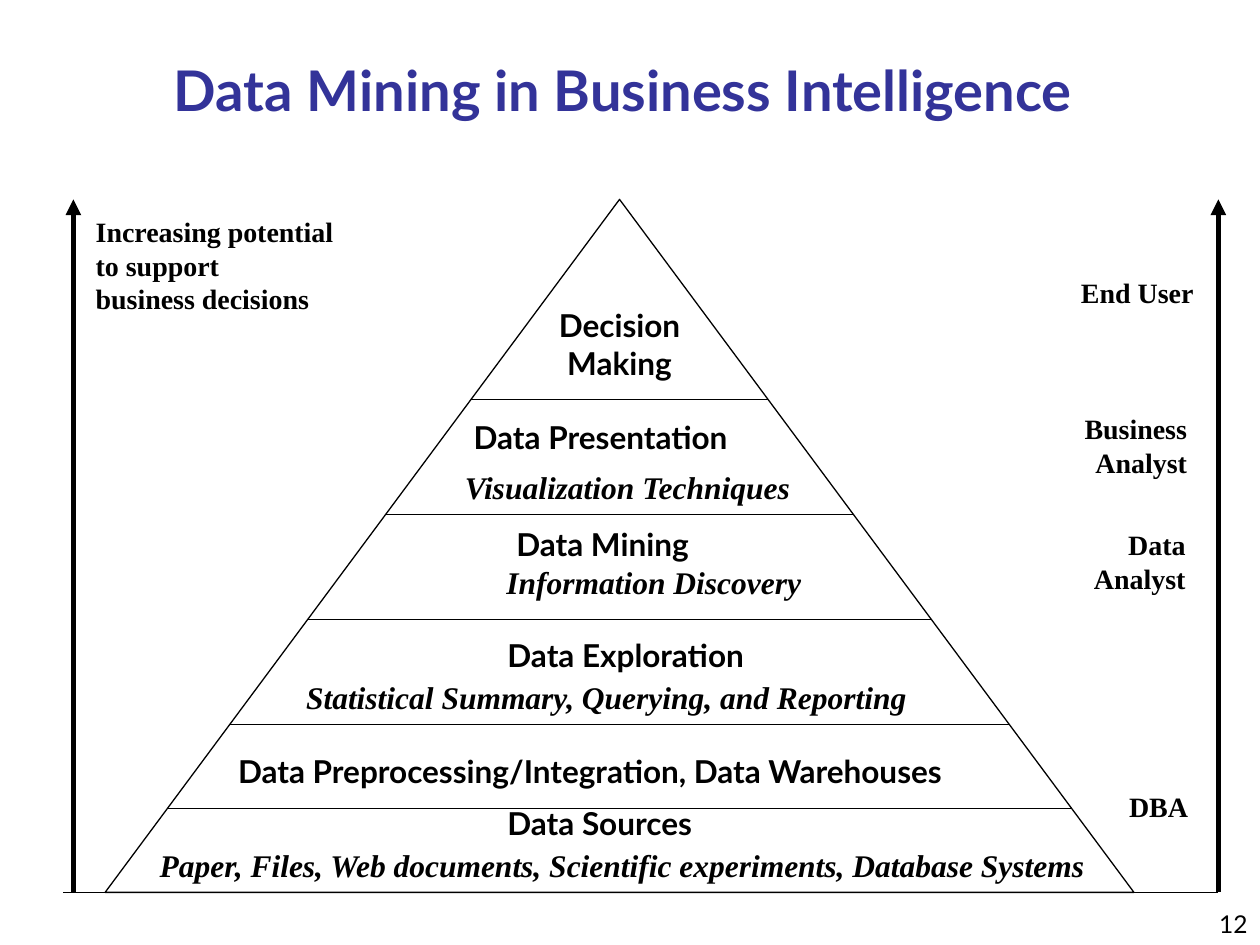
from dataclasses import dataclass

from lxml.etree import SubElement
from pptx import Presentation
from pptx.dml.color import RGBColor
from pptx.enum.shapes import MSO_CONNECTOR, MSO_SHAPE
from pptx.enum.text import MSO_ANCHOR, MSO_AUTO_SIZE, PP_ALIGN
from pptx.oxml.ns import qn
from pptx.util import Cm, Pt


@dataclass(frozen=True)
class Theme:
    ink: RGBColor = RGBColor(0x00, 0x00, 0x00)
    heading: RGBColor = RGBColor(0x33, 0x33, 0x99)
    sans: str = "Lato"
    serif: str = "Times New Roman"
    title_size: int = 32
    level_size: int = 18
    role_size: int = 16
    number_size: int = 14
    thin: float = 0.75
    thick: float = 3


THEME = Theme()

TITLE = ("Data Mining in Business Intelligence", (0.5, 1.06, 24.13, 1.48))
PAGE_NUMBER = ("12", (20.12, 17.78, 5.28, 1.27))
POTENTIAL = ("Increasing potential\nto support\nbusiness decisions", (1.68, 4.2, 5.31, 2.29))
ROLES = [
    ("End User", (21.54, 5.44, 2.77, 0.93)),
    ("Business\nAnalyst", (21.54, 8.18, 2.64, 1.62)),
    ("Data\nAnalyst", (21.79, 10.51, 2.36, 1.62)),
    ("DBA", (22.5, 15.8, 1.7, 0.93)),
]
CENTRED_LEVELS = [
    ("Decision Making", (10.8, 6.05, 3.38, 1.78)),
    ("Data Exploration", (9.35, 12.7, 6.53, 1.02)),
]
LEVELS = [
    ("Data Presentation", (9.3, 8.31, 6.3, 1.02)),
    ("Data Mining", (10.16, 10.46, 4.95, 1.02)),
    ("Data Preprocessing/Integration, Data Warehouses", (4.55, 15.04, 16.51, 1.02)),
    ("Data Sources", (9.98, 16.08, 4.65, 1.02)),
]
DETAILS = [
    ("Visualization Techniques", (9.12, 9.32, 7.16, 1.02)),
    ("Information Discovery", (9.96, 11.23, 6.45, 1.02)),
    ("Statistical Summary, Querying, and Reporting", (5.92, 13.54, 12.7, 1.02)),
    ("Paper, Files, Web documents, Scientific experiments, Database Systems",
     (2.97, 16.94, 19.79, 1.02)),
]
PYRAMID = (2.12, 4.02, 20.74, 13.97)
DIVIDERS = [8.05, 10.37, 12.49, 14.61, 16.3]
ARROWS = [1.48, 24.56]
BASE_LEFT = 1.27


def add_text(slide, text, box, *, font=THEME.sans, size=THEME.level_size, color=THEME.ink,
             bold=True, italic=False, align=PP_ALIGN.LEFT, anchor=MSO_ANCHOR.TOP, wrap=False):
    frame = slide.shapes.add_textbox(*map(Cm, box)).text_frame
    frame.text = text
    frame.word_wrap = wrap
    frame.vertical_anchor = anchor
    if anchor == MSO_ANCHOR.TOP:
        frame.auto_size = MSO_AUTO_SIZE.SHAPE_TO_FIT_TEXT
    for paragraph in frame.paragraphs:
        paragraph.alignment = align
        style = paragraph.runs[0].font
        style.name, style.size = font, Pt(size)
        style.bold, style.italic = bold, italic
        style.color.rgb = color


def add_line(slide, start, end, width=THEME.thin, arrow=False):
    line = slide.shapes.add_connector(MSO_CONNECTOR.STRAIGHT, *map(Cm, start + end))
    line.line.color.rgb = THEME.ink
    line.line.width = Pt(width)
    if arrow:
        SubElement(line.line._get_or_add_ln(), qn("a:tailEnd"), type="triangle")
    SubElement(line._element.spPr, qn("a:effectLst"))


def add_pyramid(slide):
    left, top, width, height = PYRAMID
    outline = slide.shapes.add_shape(MSO_SHAPE.FLOWCHART_EXTRACT, *map(Cm, PYRAMID))
    outline.shadow.inherit = False
    outline.fill.background()
    outline.line.color.rgb = THEME.ink
    outline.line.width = Pt(THEME.thin)
    center = left + width / 2
    for y in DIVIDERS:
        reach = width / 2 * (y - top) / height
        add_line(slide, (center - reach, y), (center + reach, y))
    base = top + height
    for x in ARROWS:
        add_line(slide, (x, base), (x, top), THEME.thick, arrow=True)
    add_line(slide, (BASE_LEFT, base), (ARROWS[-1], base))


def main():
    """Build the business intelligence pyramid slide."""
    deck = Presentation()
    deck.slide_width, deck.slide_height = Cm(25.4), Cm(19.05)
    slide = deck.slides.add_slide(deck.slide_layouts[6])
    add_text(slide, *PAGE_NUMBER, size=THEME.number_size, bold=False,
             align=PP_ALIGN.RIGHT, anchor=MSO_ANCHOR.BOTTOM, wrap=True)
    add_text(slide, *TITLE, size=THEME.title_size, color=THEME.heading,
             align=PP_ALIGN.CENTER, anchor=MSO_ANCHOR.MIDDLE, wrap=True)
    add_pyramid(slide)
    add_text(slide, *POTENTIAL, font=THEME.serif, size=THEME.role_size)
    for role, box in ROLES:
        add_text(slide, role, box, font=THEME.serif, size=THEME.role_size, align=PP_ALIGN.RIGHT)
    for level, box in CENTRED_LEVELS:
        add_text(slide, level, box, align=PP_ALIGN.CENTER, wrap=True)
    for level, box in LEVELS:
        add_text(slide, level, box)
    for detail, box in DETAILS:
        add_text(slide, detail, box, font=THEME.serif, italic=True)
    deck.save("out.pptx")


if __name__ == "__main__":
    main()
